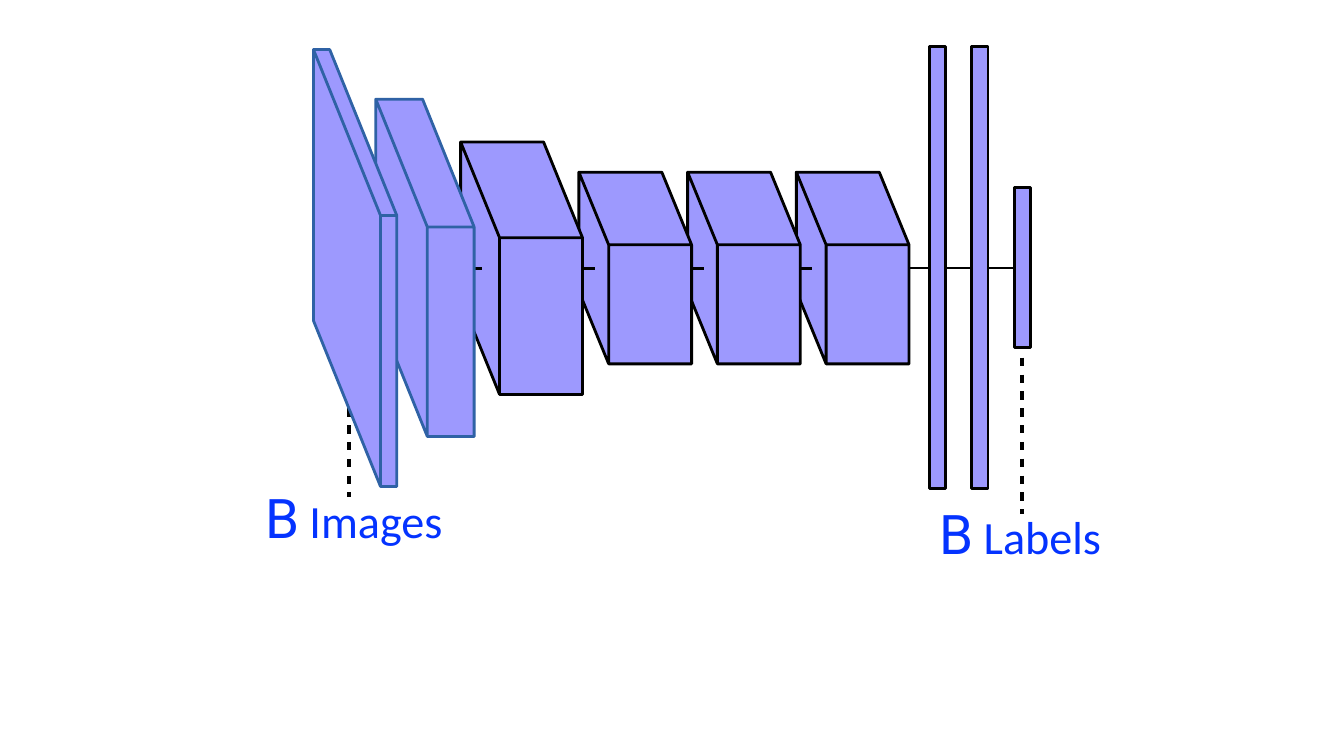
from dataclasses import dataclass

from lxml.etree import SubElement
from pptx import Presentation
from pptx.dml.color import RGBColor
from pptx.enum.shapes import MSO_CONNECTOR, MSO_SHAPE
from pptx.enum.text import MSO_ANCHOR, PP_ALIGN
from pptx.oxml.ns import qn
from pptx.util import Cm, Pt


@dataclass(frozen=True)
class Theme:
    layer: RGBColor = RGBColor(0x9D, 0x99, 0xFE)
    outline: RGBColor = RGBColor(0, 0, 0)
    early_outline: RGBColor = RGBColor(0x2F, 0x62, 0xA5)
    caption: RGBColor = RGBColor(0x04, 0x33, 0xFF)
    batch_size: Pt = Pt(39)
    word_size: Pt = Pt(33)
    stroke: Pt = Pt(2)
    rail: Pt = Pt(1.5)
    dash: Pt = Pt(3)


theme = Theme()
prs = Presentation()
prs.slide_width, prs.slide_height = Cm(33.87), Cm(19.05)
shapes = prs.slides.add_slide(prs.slide_layouts[6]).shapes


def add_line(x1, y1, x2, y2, width):
    line = shapes.add_connector(MSO_CONNECTOR.STRAIGHT, Cm(x1), Cm(y1), Cm(x2), Cm(y2))
    line.line.color.rgb = theme.outline
    line.line.width = width
    SubElement(line.element.spPr, qn("a:effectLst"))
    return line


def paint(layer, outline):
    layer.shadow.inherit = False
    layer.fill.solid()
    layer.fill.fore_color.rgb = theme.layer
    layer.line.color.rgb = outline
    layer.line.width = theme.stroke


axis = 6.76

# Dashed leaders from the captions to the first and last layer
for x, top, bottom in [(8.79, 10.29, 12.52), (25.76, 8.59, 12.95)]:
    leader = add_line(x, top, x, bottom, theme.dash)
    pattern = SubElement(leader.line._get_or_add_ln(), qn("a:custDash"))
    SubElement(pattern, qn("a:ds"), d="200000", sp="200000")

# Fully connected layers on their rail
add_line(22.76, axis, 25.81, axis, theme.rail)
for x, top, height in [(23.42, 1.17, 11.15), (24.49, 1.17, 11.15), (25.56, 4.72, 4.04)]:
    dense = shapes.add_shape(MSO_SHAPE.RECTANGLE, Cm(x), Cm(top), Cm(0.41), Cm(height))
    paint(dense, theme.outline)

# Convolution blocks, back to front:
# left, top, slant across, slant down, front width, front height, stub end, outline
small_block = (4.34, 0.75, 1.83, 2.09, 3.0, 0.4, theme.outline)
blocks = [(14.59 + 2.74 * i, *small_block) for i in (2, 1, 0)] + [
    (11.61, 3.58, 0.98, 2.41, 2.09, 3.95, 0.53, theme.outline),
    (9.47, 2.5, 1.3, 3.22, 1.18, 5.28, None, theme.early_outline),
    (7.9, 1.25, 1.69, 4.18, 0.41, 6.83, None, theme.early_outline),
]
for left, top, across, down, width, height, stub_end, outline in blocks:
    back_top_left = (left, top)
    back_top_right = (left + width, top)
    back_bottom_left = (left, top + height)
    top_left = (left + across, top + down)
    top_right = (left + across + width, top + down)
    bottom_left = (left + across, top + down + height)
    bottom_right = (left + across + width, top + down + height)
    edges = [
        bottom_left, back_bottom_left, back_top_left, top_left,
        back_top_left, back_top_right, top_right, top_left,
        top_right, bottom_right, bottom_left,
    ]
    pen = shapes.build_freeform(Cm(top_left[0]), Cm(top_left[1]))
    pen.add_line_segments([(Cm(x), Cm(y)) for x, y in edges], close=True)
    paint(pen.convert_to_shape(), outline)
    if stub_end:
        add_line(left - 0.18, axis, left + stub_end, axis, theme.stroke)

# Captions
for word, left, top, width in [("Images", 6.53, 12.04, 4.83), ("Labels", 23.52, 12.42, 4.5)]:
    frame = shapes.add_textbox(Cm(left), Cm(top), Cm(width), Cm(1.98)).text_frame
    for side in ("left", "top", "right", "bottom"):
        setattr(frame, f"margin_{side}", Cm(0.15))
    frame.word_wrap = False
    frame.vertical_anchor = MSO_ANCHOR.MIDDLE
    caption = frame.paragraphs[0]
    caption.alignment = PP_ALIGN.LEFT
    for text, font, size in [
        ("B", "Roboto", theme.batch_size),
        (f" {word}", "Calibri", theme.word_size),
    ]:
        run = caption.add_run()
        run.text = text
        run.font.name = font
        run.font.size = size
        run.font.color.rgb = theme.caption

prs.save("out.pptx")
